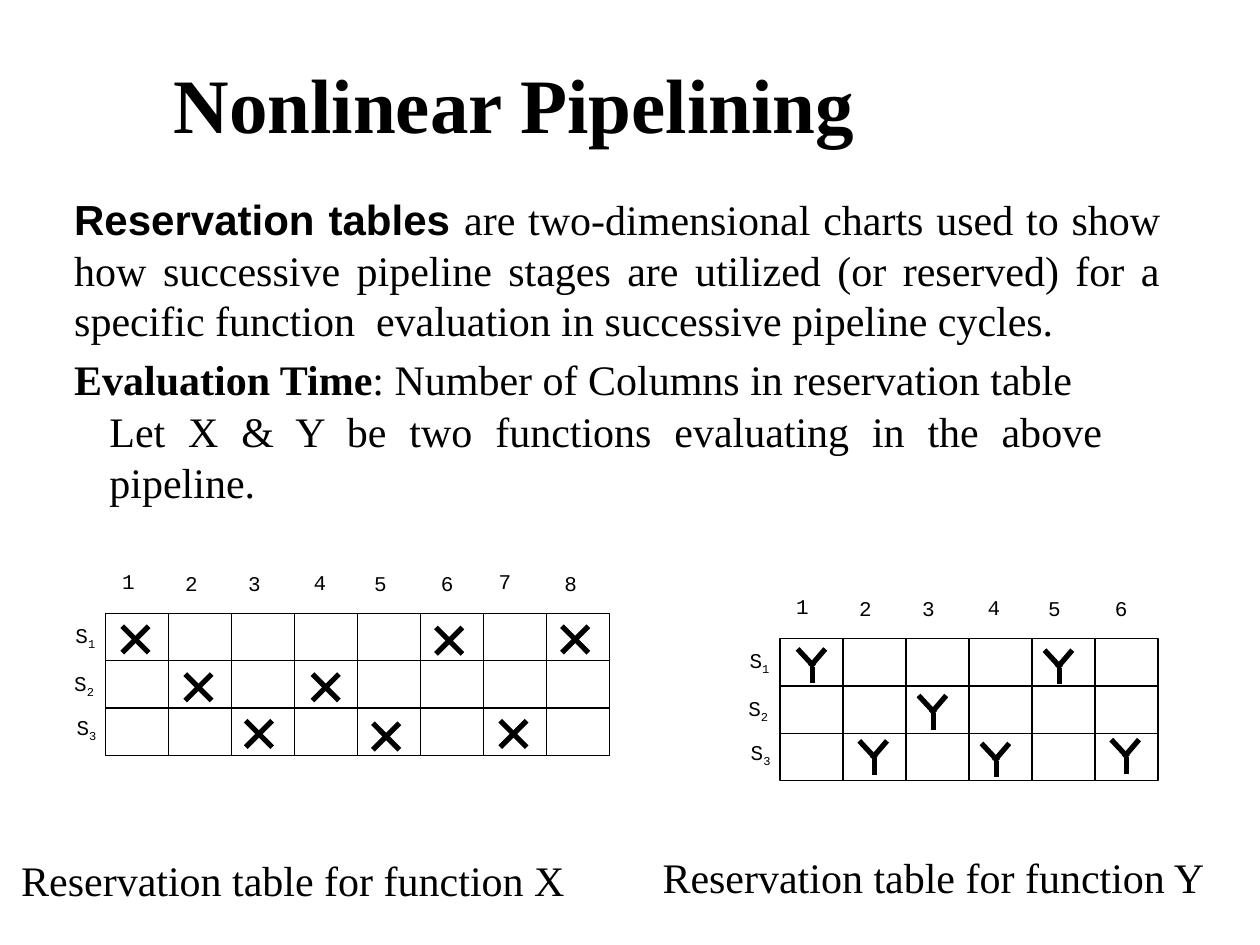
from dataclasses import dataclass

from lxml.etree import SubElement
from pptx import Presentation
from pptx.dml.color import RGBColor
from pptx.enum.shapes import MSO_CONNECTOR, MSO_SHAPE
from pptx.enum.text import MSO_ANCHOR, PP_ALIGN
from pptx.oxml.ns import qn
from pptx.util import Inches, Pt


@dataclass(frozen=True)
class Theme:
    ink: RGBColor = RGBColor(0, 0, 0)
    serif: str = "Times New Roman"
    sans: str = "Arial"
    mono: str = "Courier New"
    title: int = 44
    body: int = 24
    label: int = 12
    grid_line: float = 0.75
    mark_line: float = 3


THEME = Theme()
CELL_W, CELL_H = 0.5, 0.375

# Label offsets from the top left corner of a grid
COLUMN_LABELS = [(0.03, -0.41), (0.53, -0.39), (1.03, -0.39), (1.55, -0.4),
                 (2.03, -0.39), (2.56, -0.39), (3.02, -0.41), (3.54, -0.39)]
ROW_LABELS = [(-0.34, 0.02), (-0.35, 0.4), (-0.33, 0.75)]

# Strokes of each mark, and mark offsets from the top left corner of its grid
CROSS = [(0, 0, 0.21, 0.21), (0.21, 0, 0, 0.21)]
FORK = [(0.12, 0.14, 0.12, 0.27), (0, 0, 0.13, 0.14), (0.22, 0, 0.1, 0.14)]
X_MARKS = [(0.13, 0.1), (2.62, 0.11), (3.62, 0.1), (0.63, 0.48),
           (1.64, 0.48), (1.11, 0.85), (2.12, 0.87), (3.13, 0.85)]
Y_MARKS = [(0.14, 0.08), (2.1, 0.09), (1.1, 0.45),
           (0.63, 0.81), (1.6, 0.83), (2.63, 0.8)]


def add_text(shapes, box, paragraphs, size=THEME.body, font=THEME.serif,
             align=PP_ALIGN.LEFT, anchor=MSO_ANCHOR.TOP, gap=0):
    """Each paragraph is a list of (text, options) runs."""
    frame = shapes.add_textbox(*map(Inches, box)).text_frame
    frame.word_wrap = True
    frame.vertical_anchor = anchor
    for index, runs in enumerate(paragraphs):
        paragraph = frame.add_paragraph() if index else frame.paragraphs[0]
        paragraph.alignment = align
        if index:
            paragraph.space_before = Pt(gap)
        for text, options in runs:
            run = paragraph.add_run()
            run.text = text
            run.font.name = options.get("font", font)
            run.font.size = Pt(size)
            run.font.bold = options.get("bold", False)
            run.font.color.rgb = THEME.ink
            if "baseline" in options:
                run.font._element.set("baseline", str(options["baseline"]))


def add_cell(shapes, left, top):
    cell = shapes.add_shape(MSO_SHAPE.RECTANGLE, Inches(left), Inches(top),
                            Inches(CELL_W), Inches(CELL_H))
    cell.shadow.inherit = False
    cell.fill.background()
    cell.line.color.rgb = THEME.ink
    cell.line.width = Pt(THEME.grid_line)


def add_stroke(shapes, left, top, stroke):
    x1, y1, x2, y2 = stroke
    line = shapes.add_connector(MSO_CONNECTOR.STRAIGHT,
                                Inches(left + x1), Inches(top + y1),
                                Inches(left + x2), Inches(top + y2))
    line.line.color.rgb = THEME.ink
    line.line.width = Pt(THEME.mark_line)
    SubElement(line._element.spPr, qn("a:effectLst"))


def add_reservation_table(slide, left, top, columns, mark, marks):
    shapes = slide.shapes.add_group_shape().shapes
    # Cells
    for row in range(len(ROW_LABELS)):
        for column in range(columns):
            add_cell(shapes, left + column * CELL_W, top + row * CELL_H)
    # Stage and cycle labels
    stages = [[("S", {}), (str(n), {"baseline": -25000})]
              for n in range(1, len(ROW_LABELS) + 1)]
    cycles = [[(str(n), {})] for n in range(1, columns + 1)]
    for runs, (dx, dy) in zip(stages + cycles,
                              ROW_LABELS + COLUMN_LABELS[:columns]):
        add_text(shapes, (left + dx, top + dy, 0.42, 0.33), [runs],
                 size=THEME.label, font=THEME.mono)
    # Reserved cells
    for dx, dy in marks:
        for stroke in mark:
            add_stroke(shapes, left + dx, top + dy, stroke)


def add_explanation(slide, left, top):
    bold = {"bold": True}
    add_text(slide.shapes, (left, top, 8.82, 1.8), [
        [("Reservation tables ", {"bold": True, "font": THEME.sans}),
         ("are two-dimensional charts used to show how successive pipeline "
          "stages are utilized (or reserved) for a specific function  "
          "evaluation in successive pipeline cycles.", {})],
        [("Evaluation Time", bold),
         (": Number of Columns in reservation table", {})],
    ], align=PP_ALIGN.JUSTIFY, gap=5)
    add_text(slide.shapes, (left + 0.28, top + 1.68, 8.08, 0.91),
             [[("Let X & Y be two functions evaluating in the above pipeline.",
                {})]], align=PP_ALIGN.JUSTIFY)


def build_slide(slide):
    # Title and explanation
    add_text(slide.shapes, (1.28, 0.19, 8.5, 1.25),
             [[("Nonlinear Pipelining", {"bold": True})]],
             size=THEME.title, anchor=MSO_ANCHOR.MIDDLE)
    add_explanation(slide, 0.49, 1.49)
    # Reservation tables and their captions
    add_reservation_table(slide, 0.84, 4.87, 8, CROSS, X_MARKS)
    add_reservation_table(slide, 6.19, 5.07, 6, FORK, Y_MARKS)
    for name, left, top in (("X", 0.07, 6.73), ("Y", 5.16, 6.71)):
        add_text(slide.shapes, (left, top, 5.41, 0.5),
                 [[(f"Reservation table for function {name}", {})]])


def main():
    deck = Presentation()
    deck.slide_width, deck.slide_height = Inches(10), Inches(7.5)
    build_slide(deck.slides.add_slide(deck.slide_layouts[6]))
    deck.save("out.pptx")


if __name__ == "__main__":
    main()
